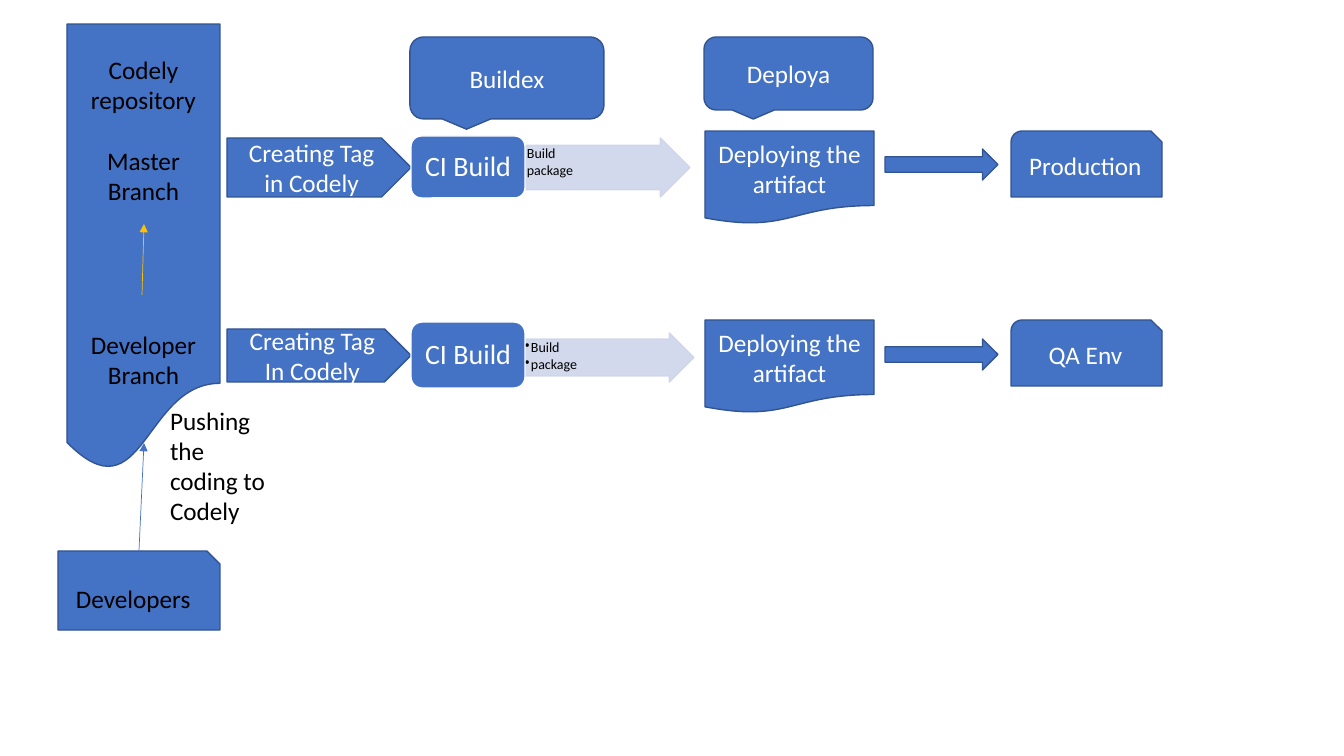
from lxml.etree import SubElement
from pptx import Presentation
from pptx.dml.color import RGBColor
from pptx.enum.shapes import MSO_CONNECTOR as Connector, MSO_SHAPE as Shape
from pptx.enum.text import MSO_ANCHOR as Anchor, PP_ALIGN as Align
from pptx.oxml.ns import qn
from pptx.util import Emu, Pt

BLUE, EDGE, PALE, GOLD = "4472C4", "325491", "CFD5EA", "FFC000"
WHITE, BLACK = "FFFFFF", "000000"


def px(pixels):
    return Emu(round(pixels * 914400 / 100.8))


def color(code):
    return RGBColor.from_string(code)


def apply(target, values):
    for name, value in values.items():
        setattr(target, name, value)


def write(shape, paragraphs, size=18, ink=WHITE, align=Align.CENTER, anchor=Anchor.MIDDLE,
          insets=(10, 5, 10, 5), spacing=None, gaps=None):
    frame = shape.text_frame
    left, top, right, bottom = map(px, insets)
    apply(frame, {"word_wrap": True, "vertical_anchor": anchor, "margin_left": left,
                  "margin_top": top, "margin_right": right, "margin_bottom": bottom})
    frame.text = "\n".join(paragraphs)
    for index, para in enumerate(frame.paragraphs):
        apply(para, {"alignment": align, "line_spacing": spacing})
        if gaps:
            para.space_before = Pt(gaps[index])
        for span in para.runs:
            apply(span.font, {"name": "Calibri", "size": Pt(size)})
            span.font.color.rgb = color(ink)


def add_block(page, kind, box, fill=BLUE, edge=EDGE):
    shape = page.shapes.add_shape(kind, *map(px, box))
    shape.shadow.inherit = False
    shape.fill.solid()
    shape.fill.fore_color.rgb = color(fill)
    shape.line.color.rgb = color(edge)
    shape.line.width = Pt(1)
    return shape


def add_arrow(page, start, end, ink):
    arrow = page.shapes.add_connector(Connector.STRAIGHT, *map(px, start + end))
    arrow.line.color.rgb = color(ink)
    arrow.line.width = Pt(0.5)
    SubElement(arrow.line._get_or_add_ln(), qn("a:tailEnd"), type="triangle")
    SubElement(arrow._element.spPr, qn("a:effectLst"))


def add_bullets(shape):
    for para in shape.text_frame.paragraphs:
        para.space_after = Pt(1.5)
        props = para._p.get_or_add_pPr()
        props.set("marL", str(px(6)))
        props.set("indent", str(px(-6)))
        SubElement(props, qn("a:buChar"), char="•")


def make_translucent(shape):
    for solid in shape._element.spPr.iter(qn("a:solidFill")):
        SubElement(solid[0], qn("a:alpha"), val="90000")


def draw_source(page, left, top):
    developers = add_block(page, Shape.SNIP_1_RECTANGLE, (left, top + 527, 162, 79))
    write(developers, ["Developers"], ink=BLACK, insets=(10, 14, 15, 5))
    push = page.shapes.add_textbox(*map(px, (left + 102, top + 376, 121, 132)))
    write(push, ["Pushing the coding to Codely"], ink=BLACK, align=Align.LEFT, anchor=Anchor.TOP)
    repository = add_block(page, Shape.FLOWCHART_DOCUMENT, (left + 9, top, 153, 448))
    write(repository, ["Codely repository", "Master Branch", "Developer Branch"], ink=BLACK,
          anchor=Anchor.TOP, insets=(10, 30, 10, 5), gaps=(0, 22, 88))
    add_arrow(page, (left + 81, top + 527), (left + 86, top + 419), BLUE)
    add_arrow(page, (left + 84, top + 271), (left + 86, top + 200), GOLD)


def draw_pipeline(page, left, top, tag, target, tag_span, build_span, package_box, arrow_top):
    def block(kind, x, y, width, height, **style):
        return add_block(page, kind, (left + x, top + y, width, height), **style)

    write(block(Shape.PENTAGON, 0, tag_span[0], 184, tag_span[1]), [tag])
    package = block(Shape.RIGHT_ARROW, *package_box, fill=PALE, edge=PALE)
    package.adjustments[0] = 0.75
    make_translucent(package)
    write(package, ["Build", "package"], size=10, ink=BLACK, align=Align.LEFT,
          anchor=Anchor.TOP, insets=(1, 1, 1, 1), spacing=0.9)
    add_bullets(package)
    build = block(Shape.ROUNDED_RECTANGLE, 184, build_span[0], 114, build_span[1], edge=WHITE)
    write(build, ["CI Build"], size=20, insets=(8, 4, 8, 4), spacing=0.9)
    write(block(Shape.FLOWCHART_DOCUMENT, 478, 0, 169, 93), ["Deploying the artifact"])
    block(Shape.RIGHT_ARROW, 658, arrow_top, 113, 31)
    write(block(Shape.SNIP_ROUND_RECTANGLE, 784, 0, 151, 66), [target])


def draw_tools(page, left, top):
    for name, offset, width, height in (("Buildex", 0, 194, 82), ("Deploya", 294, 169, 73)):
        box = (left + offset, top, width, height)
        write(add_block(page, Shape.ROUNDED_RECTANGULAR_CALLOUT, box), [name])


deck = Presentation()
apply(deck, {"slide_width": px(1344), "slide_height": px(756)})
page = deck.slides.add_slide(deck.slide_layouts[6])
draw_source(page, 58, 24)
draw_pipeline(page, 227, 131, "Creating Tag in Codely", "Production",
              tag_span=(7, 59), build_span=(5, 62), package_box=(293, 7, 170, 59), arrow_top=18)
draw_pipeline(page, 227, 320, "Creating Tag\vIn Codely", "QA Env",
              tag_span=(9, 53), build_span=(2, 66), package_box=(297, 13, 170, 49), arrow_top=19)
draw_tools(page, 410, 37)
deck.save("out.pptx")
